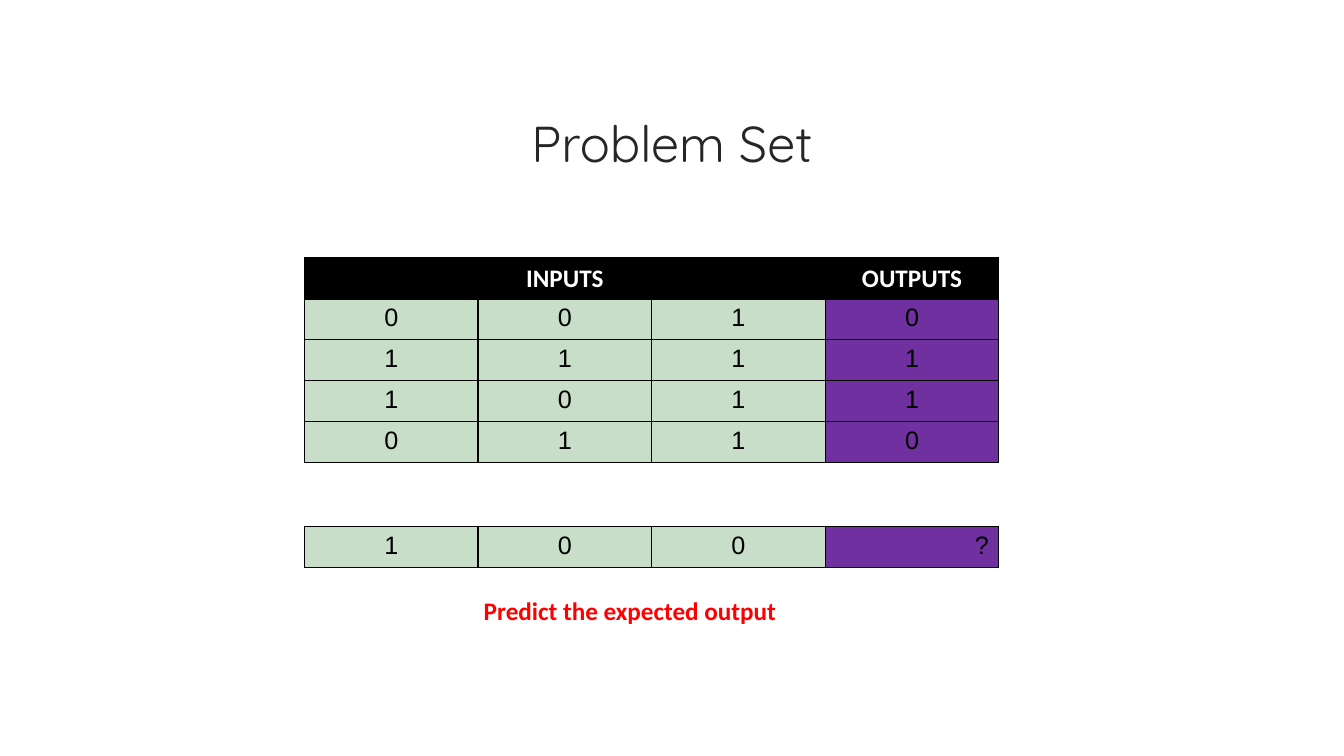
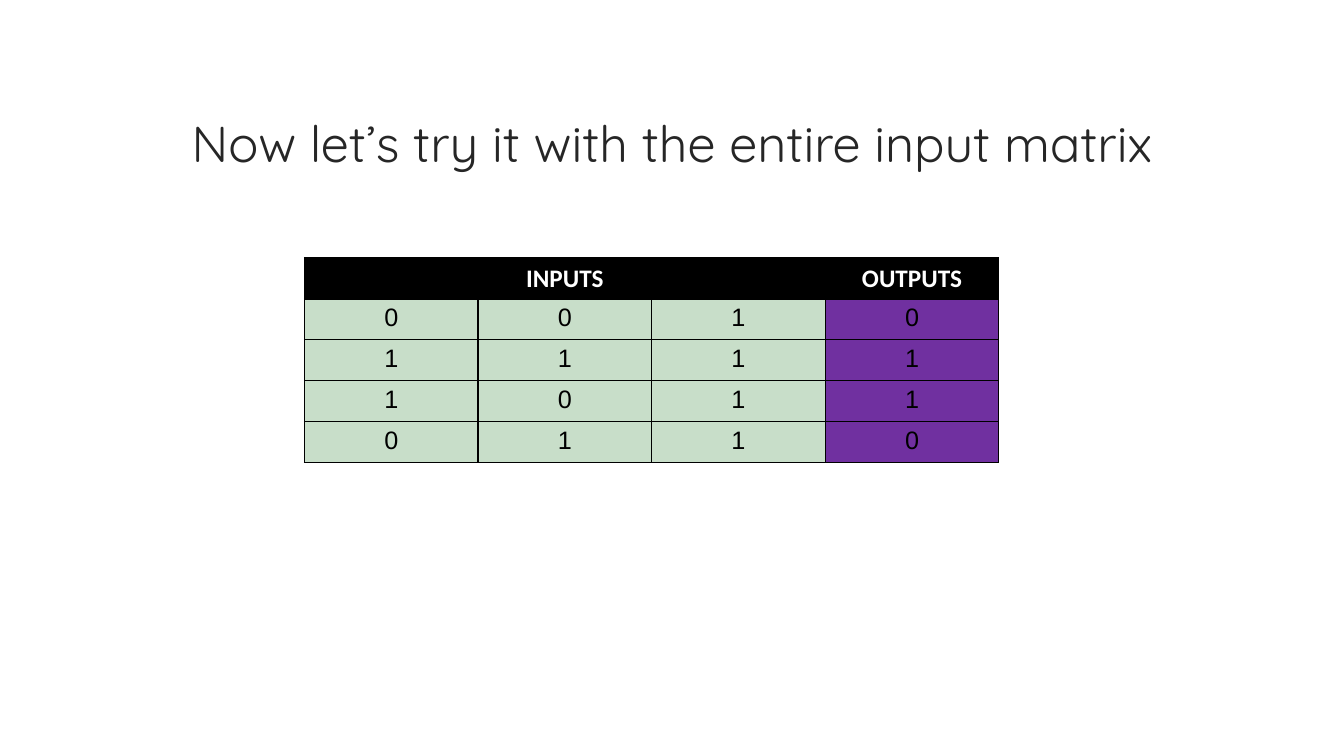
from dataclasses import dataclass

import pptx
import pptx.dml.color
import pptx.enum.text
import pptx.oxml
import pptx.oxml.ns
import pptx.util

Pt = pptx.util.Pt
RGB = pptx.dml.color.RGBColor.from_string
Align = pptx.enum.text.PP_ALIGN
Anchor = pptx.enum.text.MSO_ANCHOR


@dataclass(frozen=True)
class Theme:
    black: str = "000000"
    white: str = "FFFFFF"
    title: str = "262626"
    green: str = "C8DEC9"
    purple: str = "7030A0"
    red: str = "FF0000"
    head_font: str = "Quicksand"
    bold_font: str = "Calibri"
    cell_font: str = "Arial"
    head_size: int = 36
    text_size: int = 18
    border: int = 1


THEME = Theme()
WIDTH, HEIGHT = 960, 540
TITLE_BOX = (84, 50.4, 792, 108)
LEFT, COL, ROW = 217.5, 124, 29.25
TABLE_TOP, QUERY_TOP = 184.3, 375.9
NOTE_BOX = (338.4, 421.9, 253.4, 29)

SAMPLES = ["0010", "1111", "1011", "0110"]
QUERY = "100?"


def style(para, font, size, color, bold=False, align=Align.LEFT):
    para.alignment = align
    para.font.name = font
    para.font.size = Pt(size)
    para.font.bold = bold
    para.font.color.rgb = RGB(color)


def add_text(slide, box, text):
    frame = slide.shapes.add_textbox(*map(Pt, box)).text_frame
    frame.word_wrap = True
    frame.text = text
    return frame


def add_title(slide, text):
    frame = add_text(slide, TITLE_BOX, text)
    frame.vertical_anchor = Anchor.MIDDLE
    para = frame.paragraphs[0]
    para.line_spacing = 0.9
    style(para, THEME.head_font, THEME.head_size, THEME.title, align=Align.CENTER)


def add_note(slide, text):
    para = add_text(slide, NOTE_BOX, text).paragraphs[0]
    style(para, THEME.bold_font, THEME.text_size, THEME.red, bold=True)


def outline(cell):
    """Draw a solid line on all four sides of a table cell."""
    props = cell._tc.get_or_add_tcPr()
    for side in "LRTB":
        props.append(pptx.oxml.parse_xml(
            f'<a:ln{side} {pptx.oxml.ns.nsdecls("a")} w="{Pt(THEME.border)}">'
            f'<a:solidFill><a:srgbClr val="{THEME.black}"/></a:solidFill>'
            f'</a:ln{side}>'))


def paint(cell, text, fill, font, color, bold=False, align=Align.CENTER):
    outline(cell)
    cell.fill.solid()
    cell.fill.fore_color.rgb = RGB(fill)
    cell.text = text
    style(cell.text_frame.paragraphs[0], font, THEME.text_size, color, bold, align)


def add_grid(slide, top, rows, header=False):
    """Add a table of input columns and one output column."""
    cols = len(rows[0])
    count = len(rows) + header
    table = slide.shapes.add_table(
        count, cols, Pt(LEFT), Pt(top), Pt(cols * COL), Pt(count * ROW)).table
    for col in table.columns:
        col.width = Pt(COL)
    for row in table.rows:
        row.height = Pt(ROW)
    table.first_row = header
    table.horz_banding = False
    if header:
        labels = ["INPUTS"] + [""] * (cols - 2) + ["OUTPUTS"]
        for col, label in enumerate(labels):
            paint(table.cell(0, col), label, THEME.black,
                  THEME.bold_font, THEME.white, bold=True)
        table.cell(0, 0).merge(table.cell(0, cols - 2))
    for index, values in enumerate(rows, int(header)):
        for col, value in enumerate(values):
            fill = THEME.purple if col == cols - 1 else THEME.green
            align = Align.RIGHT if value == "?" else Align.CENTER
            paint(table.cell(index, col), value, fill,
                  THEME.cell_font, THEME.black, align=align)


def add_slide(deck, title):
    """Add a slide with a title and the table of samples."""
    slide = deck.slides.add_slide(deck.slide_layouts[6])
    add_title(slide, title)
    add_grid(slide, TABLE_TOP, SAMPLES, header=True)
    return slide


def main():
    deck = pptx.Presentation()
    deck.slide_width, deck.slide_height = Pt(WIDTH), Pt(HEIGHT)
    problem = add_slide(deck, "Problem Set")
    add_grid(problem, QUERY_TOP, [QUERY])
    add_note(problem, "Predict the expected output")
    add_slide(deck, "Now let’s try it with the entire input matrix")
    deck.save("out.pptx")


if __name__ == "__main__":
    main()
